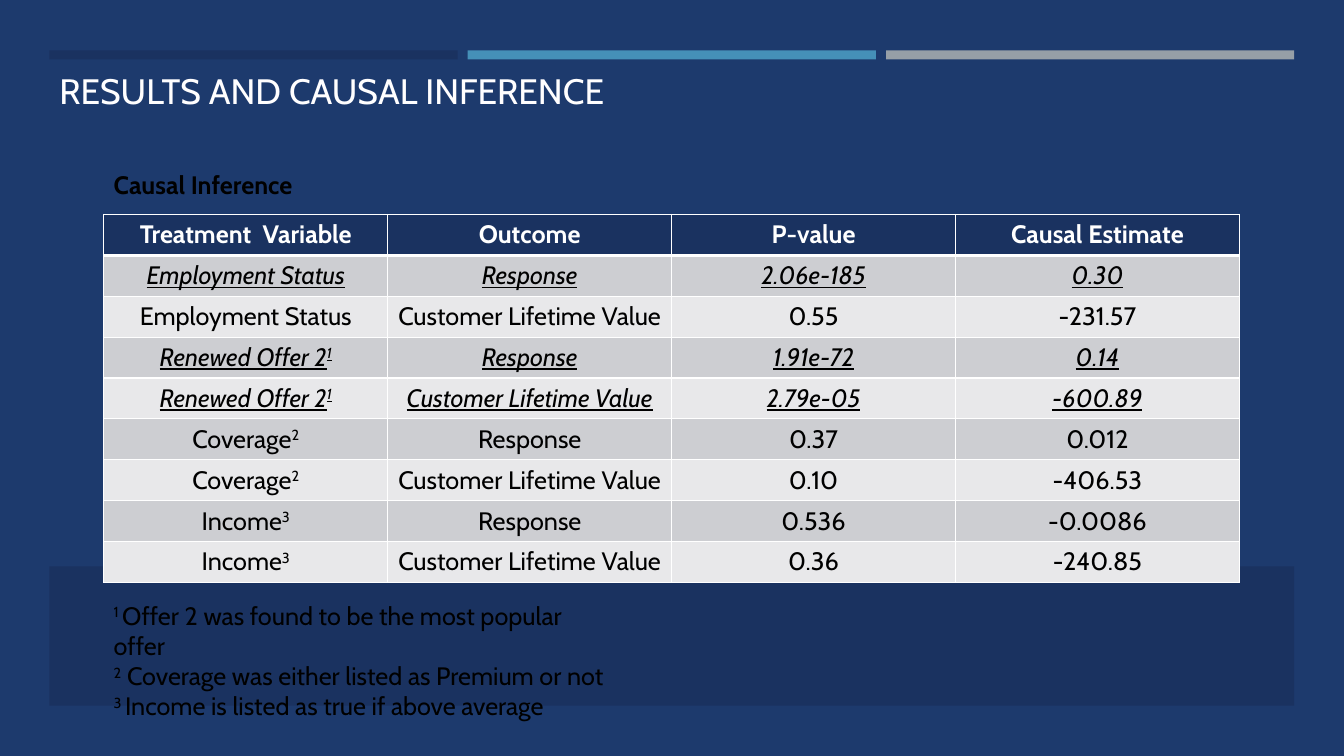
from lxml import etree
from pptx import Presentation
from pptx.dml.color import RGBColor
from pptx.enum import shapes, text
from pptx.oxml import ns
from pptx.util import Pt

# Content
TITLE = "RESULTS AND CAUSAL INFERENCE"
CAPTION = "Causal Inference"
HEADER = ["Treatment  Variable", "Outcome", "P-value", "Causal Estimate"]
RESPONSE, LIFETIME = "Response", "Customer Lifetime Value"
# treatment, footnote mark, outcome, p-value, estimate, significant
RESULTS = [
    ("Employment Status", "", RESPONSE, "2.06e-185", "0.30", True),
    ("Employment Status", "", LIFETIME, "0.55", "-231.57", False),
    ("Renewed Offer 2", "1", RESPONSE, "1.91e-72", "0.14", True),
    ("Renewed Offer 2", "1", LIFETIME, "2.79e-05", "-600.89", True),
    ("Coverage", "2", RESPONSE, "0.37", "0.012", False),
    ("Coverage", "2", LIFETIME, "0.10", "-406.53", False),
    ("Income", "3", RESPONSE, "0.536", "-0.0086", False),
    ("Income", "3", LIFETIME, "0.36", "-240.85", False),
]
FOOTNOTES = [
    ("1 ", "Offer 2 was found to be the most popular offer"),
    ("2", " Coverage was either listed as Premium or not"),
    ("3 ", "Income is listed as true if above average"),
]

THEME = dict(
    font="Cabin", title_size=25.2, body_size=18,
    background="1D3A6D", panel="1A3260", title="FFFEFF", white="FFFFFF",
    ink="000000", bars=["1A3260", "4590B8", "969FA7"],
    bands=["CDCED2", "E8E8EA"],
)

# Layout in points
WIDTH, HEIGHT = 960, 540
MARGIN, CONTENT_WIDTH = 35.28, 889.2
BAR_GAP, BAR_TOP, BAR_HEIGHT = 7.2, 36, 7.2
BAR_WIDTH = (CONTENT_WIDTH - 2 * BAR_GAP) / 3
TABLE_LEFT, TABLE_TOP, COLUMN_WIDTH, ROW_HEIGHT = 74.16, 153.2, 202.8, 29.2

presentation = Presentation()
presentation.slide_width, presentation.slide_height = Pt(WIDTH), Pt(HEIGHT)
slide = presentation.slides.add_slide(presentation.slide_layouts[6])


def paint(fill, color):
    fill.solid()
    fill.fore_color.rgb = RGBColor.from_string(color)


def add_block(left, top, width, height, color):
    block = slide.shapes.add_shape(
        shapes.MSO_SHAPE.RECTANGLE, Pt(left), Pt(top), Pt(width), Pt(height))
    block.shadow.inherit = False
    block.line.fill.background()
    paint(block.fill, color)


def add_text_frame(left, top, width, height):
    box = slide.shapes.add_textbox(Pt(left), Pt(top), Pt(width), Pt(height))
    box.text_frame.word_wrap = True
    return box.text_frame


def write(paragraph, runs, color, size=THEME["body_size"], bold=False, stressed=False):
    """Write (text, raised) runs in one style."""
    font = paragraph.font
    font.name, font.size, font.bold = THEME["font"], Pt(size), bold
    font.italic = font.underline = stressed
    font.color.rgb = RGBColor.from_string(color)
    for wording, raised in runs:
        run = paragraph.add_run()
        run.text = wording
        if raised:
            run.font._element.set("baseline", "30000")


def set_borders(cell, **widths):
    properties = cell._tc.get_or_add_tcPr()
    for position, side in enumerate("LRTB"):
        line = etree.Element(ns.qn("a:ln" + side), w=str(Pt(widths.get(side, 1))))
        fill = etree.SubElement(line, ns.qn("a:solidFill"))
        etree.SubElement(fill, ns.qn("a:srgbClr"), val=THEME["white"])
        properties.insert(position, line)


def fill_cell(cell, runs, background, color, borders, **style):
    paint(cell.fill, background)
    set_borders(cell, **borders)
    paragraph = cell.text_frame.paragraphs[0]
    paragraph.alignment = text.PP_ALIGN.CENTER
    write(paragraph, runs, color, **style)


# Background, top bars and lower panel
paint(slide.background.fill, THEME["background"])
for index, color in enumerate(THEME["bars"]):
    add_block(MARGIN + index * (BAR_WIDTH + BAR_GAP), BAR_TOP, BAR_WIDTH, BAR_HEIGHT, color)
add_block(0, 42.5, WIDTH, HEIGHT - 42.5, THEME["background"])
add_block(MARGIN, 404.6, CONTENT_WIDTH, 99.4, THEME["panel"])

# Title
title = add_text_frame(MARGIN, 44.6, CONTENT_WIDTH, 38.9)
title.vertical_anchor = text.MSO_ANCHOR.BOTTOM
write(title.paragraphs[0], [(TITLE, False)], THEME["title"], THEME["title_size"])

# Results table
table = slide.shapes.add_table(
    len(RESULTS) + 1, len(HEADER), Pt(TABLE_LEFT), Pt(TABLE_TOP),
    Pt(COLUMN_WIDTH * len(HEADER)), Pt(ROW_HEIGHT * (len(RESULTS) + 1))).table
for column in table.columns:
    column.width = Pt(COLUMN_WIDTH)
for row in table.rows:
    row.height = Pt(ROW_HEIGHT)
for column, heading in enumerate(HEADER):
    fill_cell(table.cell(0, column), [(heading, False)], THEME["panel"],
              THEME["white"], {"B": 3}, bold=True)
for row, (treatment, mark, *values, significant) in enumerate(RESULTS, 1):
    treatment_runs = [(treatment, False)] + ([(mark, True)] if mark else [])
    row_runs = [treatment_runs] + [[(value, False)] for value in values]
    for column, runs in enumerate(row_runs):
        fill_cell(table.cell(row, column), runs, THEME["bands"][(row - 1) % 2],
                  THEME["ink"], {"T": 3 if row == 1 else 1}, stressed=significant)

# Footnotes
notes = add_text_frame(TABLE_LEFT, 425, 373.7, 72.7)
for index, (mark, note) in enumerate(FOOTNOTES):
    paragraph = notes.add_paragraph() if index else notes.paragraphs[0]
    write(paragraph, [(mark, True), (note, False)], THEME["ink"])

# Table caption
caption = add_text_frame(TABLE_LEFT, 117.4, 155.5, 28.8)
write(caption.paragraphs[0], [(CAPTION, False)], THEME["ink"], bold=True)

presentation.save("out.pptx")
